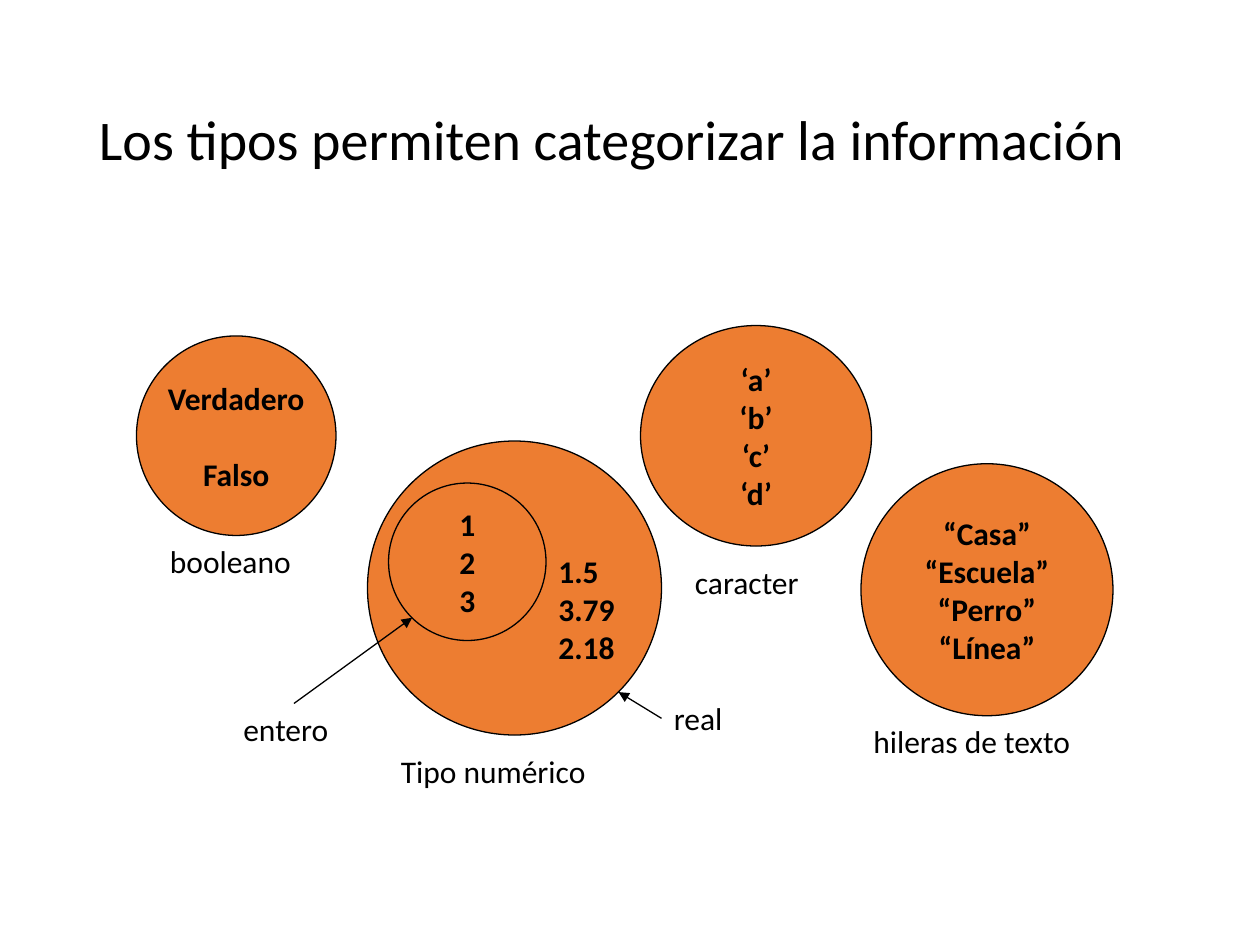
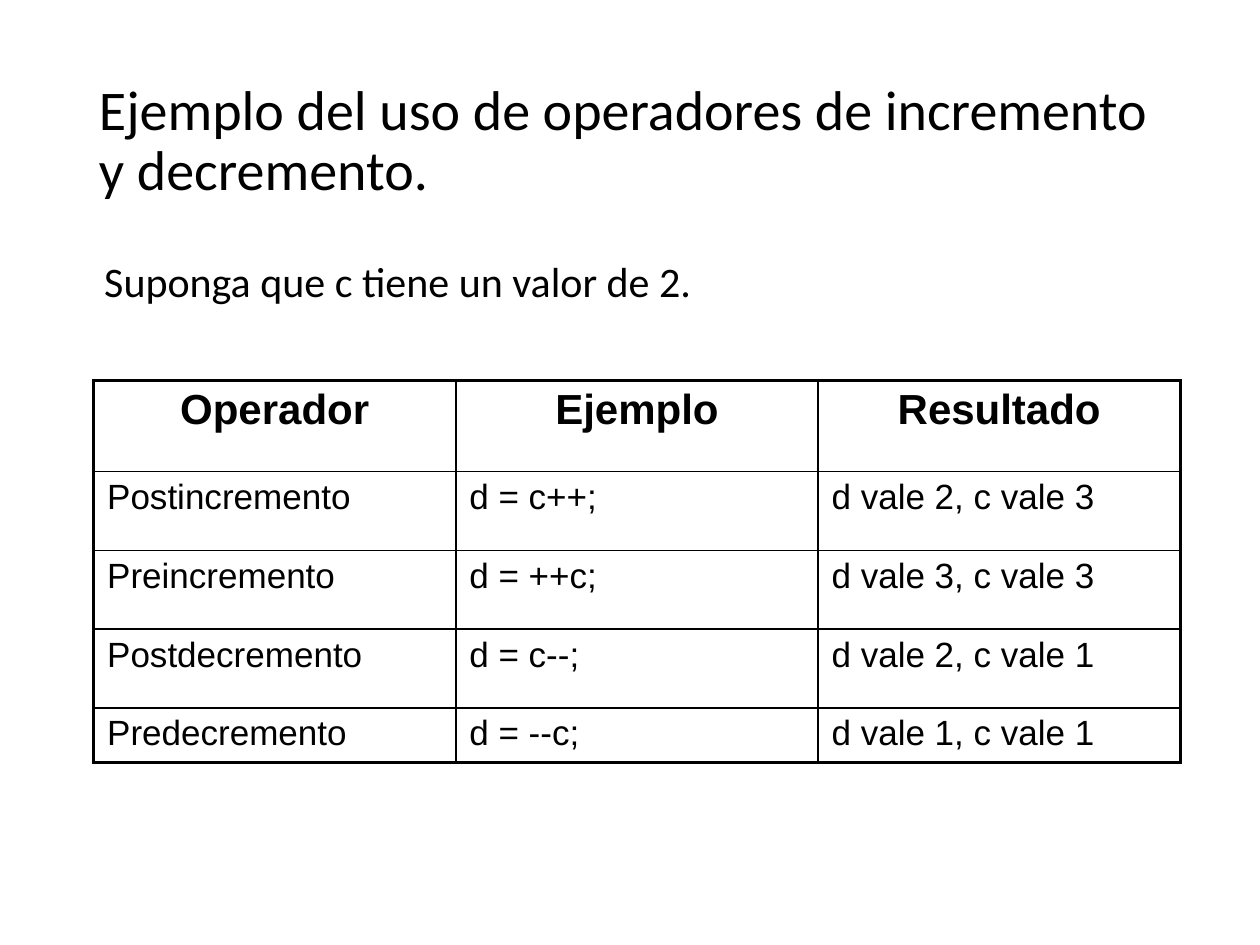
from lxml import etree
from pptx import Presentation
from pptx import util as u
from pptx.dml.color import RGBColor
from pptx.enum import shapes, text
from pptx.oxml.ns import qn

Pt = u.Pt
BLACK, ORANGE = "000000", "ED7D31"
BODY_FONT, TABLE_FONT = "Calibri", "Arial"
LINE, GRID, FRAME = 0.75, 1, 2.25
CENTER = text.PP_ALIGN.CENTER
MIDDLE = text.MSO_ANCHOR.MIDDLE


def color(hex_string):
    return RGBColor.from_string(hex_string)


def points(*lengths):
    return [Pt(n) for n in lengths]


class Deck:
    """Holds the presentation, its style and the current slide."""

    def __init__(self):
        self.prs = Presentation()
        self.prs.slide_width, self.prs.slide_height = points(720, 540)
        self.s = None

    def slide(self, title):
        self.s = self.prs.slides.add_slide(self.prs.slide_layouts[6])
        tf = self.label([title], 49.5, 29, 620.5, 104.5, size=32, spacing=0.9)
        tf.vertical_anchor = MIDDLE

    def fill_text(self, tf, lines, size=18, bold=False, align=None,
                  font=BODY_FONT, spacing=None, gap=0):
        """Fill a text frame; gap is the space between paragraphs."""
        for i, line in enumerate(lines):
            p = tf.add_paragraph() if i else tf.paragraphs[0]
            p.text = line
            p.alignment = align
            p.line_spacing = spacing
            p.space_before = Pt(gap if i else 0)
            p.font.name, p.font.size, p.font.bold = font, Pt(size), bold
            p.font.color.rgb = color(BLACK)

    def label(self, lines, x, y, w, h=29, **style):
        tf = self.s.shapes.add_textbox(*points(x, y, w, h)).text_frame
        tf.word_wrap = True
        self.fill_text(tf, lines, **style)
        return tf

    def circle(self, lines, x, y, w, h, gap=0):
        sp = self.s.shapes.add_shape(shapes.MSO_SHAPE.OVAL, *points(x, y, w, h))
        sp.shadow.inherit = False
        sp.fill.solid()
        sp.fill.fore_color.rgb = color(ORANGE)
        sp.line.color.rgb = color(BLACK)
        sp.line.width = Pt(LINE)
        tf = sp.text_frame
        tf.word_wrap = False
        tf.vertical_anchor = MIDDLE
        self.fill_text(tf, lines, bold=True, align=CENTER, gap=gap)

    def arrow(self, x1, y1, x2, y2):
        cx = self.s.shapes.add_connector(
            shapes.MSO_CONNECTOR.STRAIGHT, *points(x1, y1, x2, y2))
        cx.line.color.rgb = color(BLACK)
        cx.line.width = Pt(LINE)
        sp_pr = cx._element.spPr
        etree.SubElement(sp_pr.find(qn("a:ln")), qn("a:tailEnd"), type="triangle")
        etree.SubElement(sp_pr, qn("a:effectLst"))

    def borders(self, cell, widths):
        """Draw cell borders; widths go left, right, top, bottom."""
        tc_pr = cell._tc.get_or_add_tcPr()
        for i, (side, width) in enumerate(zip("LRTB", widths)):
            ln = etree.Element(qn(f"a:ln{side}"), w=str(Pt(width)))
            fill = etree.SubElement(ln, qn("a:solidFill"))
            etree.SubElement(fill, qn("a:srgbClr"), val=BLACK)
            tc_pr.insert(i, ln)

    def table(self, rows, x, y, col_width, heights):
        n_rows, n_cols = len(rows), len(rows[0])
        t = self.s.shapes.add_table(
            n_rows, n_cols,
            *points(x, y, col_width * n_cols, sum(heights))).table
        t.first_row = t.horz_banding = False
        for col in t.columns:
            col.width = Pt(col_width)
        for r, (values, height) in enumerate(zip(rows, heights)):
            t.rows[r].height = Pt(height)
            header = r == 0
            for c, value in enumerate(values):
                cell = t.cell(r, c)
                cell.fill.background()
                cell.margin_left = cell.margin_right = Pt(7.75)
                self.fill_text(cell.text_frame, [value],
                               size=24 if header else 20, bold=header,
                               align=CENTER if header else None,
                               font=TABLE_FONT)
                outer = (c == 0, c == n_cols - 1, header, r == n_rows - 1)
                self.borders(cell, [FRAME if edge else GRID for edge in outer])


def types_slide(d):
    d.slide("Los tipos permiten categorizar la información")
    d.circle(["‘a’", "‘b’", "‘c’", "‘d’"], 366, 186, 132, 126)
    d.circle(["“Casa”", "“Escuela”", "“Perro”", "“Línea”"], 492, 265, 144, 144)
    d.circle(["Verdadero", "Falso"], 78, 192, 114, 114, gap=22)
    d.circle([], 210, 252, 168, 168)
    d.circle(["1", "2", "3"], 222, 276, 90, 90)
    d.label(["1.5", "3.79", "2.18"], 312, 312, 55, 72, bold=True)
    for name, x, y, w in [
        ("caracter", 390, 318, 84),
        ("hileras de texto", 492, 409, 144),
        ("booleano", 90, 306, 90),
        ("Tipo numérico", 222, 426, 138),
        ("entero", 132, 402, 72),
        ("real", 378, 396, 60),
    ]:
        d.label([name], x, y, w)
    d.arrow(168, 402, 235.5, 353)
    d.arrow(378, 410.5, 353.5, 395.5)


def operators_slide(d):
    d.slide("Ejemplo del uso de operadores de incremento y decremento.")
    d.table([
        ("Operador", "Ejemplo", "Resultado"),
        ("Postincremento", "d = c++;", "d vale 2, c vale 3"),
        ("Preincremento", "d = ++c;", "d vale 3, c vale 3"),
        ("Postdecremento", "d = c--;", "d vale 2, c vale 1"),
        ("Predecremento", "d = --c;", "d vale 1, c vale 1"),
    ], 53.5, 217.5, 207, [52, 45, 45, 45, 30])
    d.label(["Suponga que c tiene un valor de 2."], 52.5, 145.5, 642, 60,
            size=24, spacing=0.9)


def main():
    d = Deck()
    types_slide(d)
    operators_slide(d)
    d.prs.save("out.pptx")


if __name__ == "__main__":
    main()
